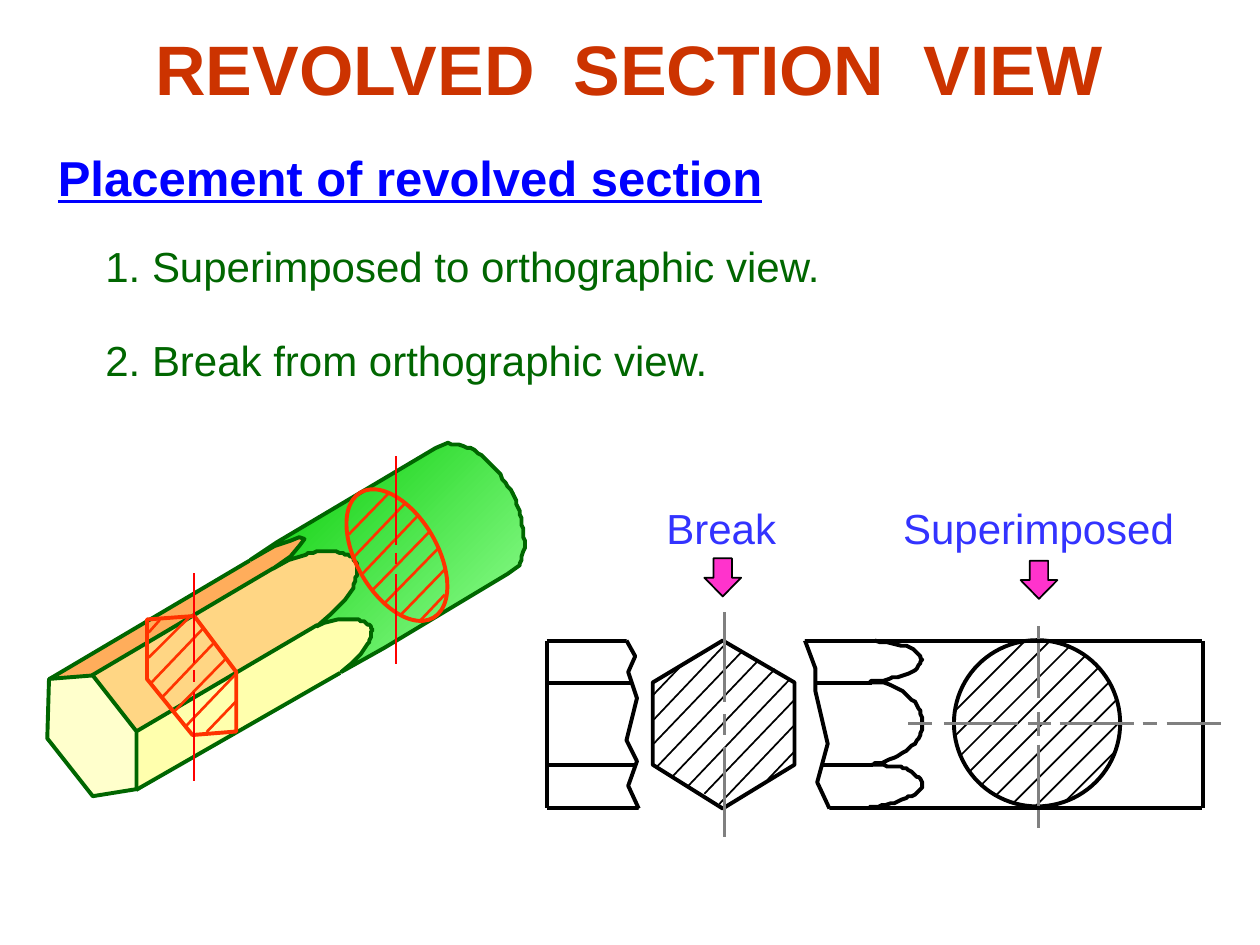
"""Build a slide on where revolved sections are placed, with a pictorial and an orthographic view."""
from math import sqrt

from lxml.etree import SubElement
from pptx import Presentation
from pptx.dml.color import RGBColor
from pptx.enum.shapes import MSO_CONNECTOR, MSO_SHAPE
from pptx.enum.text import MSO_ANCHOR, MSO_AUTO_SIZE, PP_ALIGN
from pptx.oxml.ns import qn
from pptx.util import Pt

color = RGBColor.from_string

deck = Presentation()
deck.slide_width, deck.slide_height = Pt(720), Pt(540)
page = deck.slides.add_slide(deck.slide_layouts[1])


def draw_lines(line_color, width, segments):
    """Draw straight lines given as (x1, y1, x2, y2)."""
    for segment in segments:
        line = page.shapes.add_connector(MSO_CONNECTOR.STRAIGHT, *map(Pt, segment))
        line.line.color.rgb = color(line_color)
        line.line.width = Pt(width)
        SubElement(line._element.spPr, qn("a:effectLst"))


def draw_outline(pieces, fill=None, line=None, closed=True, opacity=100):
    """Draw an outline from corner points and from lists of points joined by a smooth curve."""
    points = []
    for piece in pieces:
        if isinstance(piece, tuple):
            points.append(piece)
            continue
        knots = [piece[0], *piece, piece[-1]]
        for a, b, c, d in zip(knots, knots[1:], knots[2:], knots[3:]):
            for t in (0, 0.2, 0.4, 0.6, 0.8):
                points.append(tuple(
                    q + t / 2 * (r - p + t * (2 * p - 5 * q + 4 * r - s + t * (3 * (q - r) + s - p)))
                    for p, q, r, s in zip(a, b, c, d)))
        points.append(piece[-1])
    builder = page.shapes.build_freeform(*points[0], scale=Pt(1))
    builder.add_line_segments(points[1:], close=closed)
    shape = builder.convert_to_shape()
    shape.shadow.inherit = False
    if fill:
        shape.fill.solid()
        shape.fill.fore_color.rgb = color(fill)
        if opacity < 100:
            tint = shape._element.spPr.find(qn("a:solidFill"))[0]
            SubElement(tint, qn("a:alpha"), val=str(opacity * 1000))
    else:
        shape.fill.background()
    if line:
        shape.line.color.rgb = color(line)
        shape.line.width = Pt(2.25)
    else:
        shape.line.fill.background()
    return shape


title, body = page.placeholders
heading, superimposed, broken = (page.shapes.add_textbox(0, 0, 0, 0) for _ in range(3))
texts = [
    (title, (35.3, 9.4, 648, 58.3), ["REVOLVED  SECTION  VIEW".split()], "CC3300", {"size": Pt(40), "bold": True}),
    (heading, (26, 80.6, 420, 41), [["Placement of revolved section"]], "0000FF",
     {"size": Pt(28), "bold": True, "underline": True}),
    (body, (53, 133.9, 485, 92), [["1. Superimposed to orthographic view."],
                                  ["2. Break from orthographic view."]], "006600", {"size": Pt(24)}),
    (superimposed, (509, 283.7, 170, 36), [["Superimposed"]], "3333FF", {"size": Pt(24)}),
    (broken, (373.7, 283.7, 77, 36), [["Break"]], "3333FF", {"size": Pt(24)}),
]
for box, place, paragraphs, text_color, formats in texts:
    for side, value in zip(("left", "top", "width", "height"), place):
        setattr(box, side, Pt(value))
    frame = box.text_frame
    frame.word_wrap = True
    frame.auto_size = MSO_AUTO_SIZE.NONE
    frame.vertical_anchor = MSO_ANCHOR.MIDDLE if box is title else MSO_ANCHOR.TOP
    for number, words in enumerate(paragraphs):
        para = frame.add_paragraph() if number else frame.paragraphs[0]
        para.alignment = PP_ALIGN.CENTER if box is title else PP_ALIGN.LEFT
        para.space_before = Pt(25 * number)
        if box is body:
            properties = para._p.get_or_add_pPr()
            properties.set("marL", "0")
            properties.set("indent", "0")
            SubElement(properties, qn("a:buNone"))
        for position, word in enumerate(words):
            for content in (" ", word) if position else (word,):
                span = para.add_run()
                span.text = content
                span.font.name = "Arial"
                span.font.color.rgb = color(text_color)
                for name, value in formats.items():
                    setattr(span.font, name, value)
                if content == " ":
                    span._r.get_or_add_rPr().set("spc", "1110")

center_x, center_y, radius = 592.6, 413.3, 47.5
circle = page.shapes.add_shape(MSO_SHAPE.OVAL, Pt(center_x - radius), Pt(center_y - radius),
                               Pt(2 * radius), Pt(2 * radius))
circle.shadow.inherit = False
circle.fill.solid()
circle.fill.fore_color.rgb = color("FFFFFF")
circle.line.color.rgb = color("000000")
circle.line.width = Pt(2.25)
circle_hatch = []
for step in range(9):
    shift = (14.35 * step - 54) / 2
    reach = sqrt(radius ** 2 / 2 - shift ** 2)
    x, y = center_x + shift, center_y + shift
    circle_hatch.append((x - reach, y + reach, x + reach, y - reach))
draw_lines("000000", 1, circle_hatch)
draw_lines("808080", 1.5, [(593.5, top, 593.5, bottom)
                           for top, bottom in ((357.8, 398.9), (406.8, 420.5), (425.5, 473))])

draw_lines("000000", 2.25, [(312.5, y, right, y) for y, right in
                            ((366.5, 687), (390.2, 498.2), (437, 499), (461.5, 687))])
draw_lines("000000", 2.25, [(x, 366.5, x, 461.5) for x in (312.5, 687.6)])
draw_outline([
    [(500.4, 366.5), (517.7, 369.4), (524.9, 373.7), (526.3, 378), (521.3, 383.8), (507.6, 388.1), (496.8, 389.5)],
    [(496.8, 389.5), (507.6, 391), (517.7, 396.7), (524.9, 404.6), (527, 413.3), (524.9, 421.9),
     (517.7, 429.1), (506.2, 434.9), (497.5, 437)],
    [(497.5, 437), (509.8, 437.8), (517.7, 439.2), (524.2, 443.5), (527, 448.6), (522.7, 453.6),
     (513.4, 457.9), (501.8, 460.8), (496.8, 461.5)],
], line="000000", closed=False)
draw_lines("808080", 1.5, [(left, 413.3, right, 413.3) for left, right in (
    (519.1, 532.8), (539.3, 581.8), (587.5, 600.5), (605.5, 648), (653, 661), (666.7, 697.7))])

facets = {
    "FF9933": [(52.6, 385.9), (171.4, 316.1), (174.2, 307.4), (167, 306), (148.3, 316.8), (28.8, 387.4)],
    "FFCC66": [(78.5, 417.6), (199.4, 346.3), (204.5, 328.3), (204.5, 317.5), (191.5, 313.9),
               (173.5, 315.4), (159.8, 321.8), (52.6, 385.9)],
    "FFFF99": [(78.5, 451.4), (207.4, 376.6), (213.8, 359.3), (207.4, 352.8), (187.9, 353.5), (77.8, 418.3)],
}
for facet_color, corners in facets.items():
    draw_outline(corners, fill=facet_color, opacity=80)
draw_outline([(27.4, 421.9), (53.3, 455), (78.5, 451.4), (78.5, 417.6), (52.6, 385.9), (28.1, 388.1)],
             fill="FFFFCC", line="006600")
draw_lines("006600", 2.25, [(77.8, 451.4, 194.4, 384.5), (78.5, 417.6, 181.4, 357.1),
                            (52.6, 385.9, 156.2, 324.7), (28.1, 388.1, 142.6, 320.4)])
cylinder = draw_outline([
    (195.1, 383.8), (220.3, 370.1), (290.2, 328.3),
    [(296.6, 323.3), (299.5, 313.2), (298.8, 302.4), (296.6, 291.6), (293, 282.2), (285.8, 271.4),
     (276.5, 261.4), (267.1, 255.6), (256.3, 253.4)],
    (249.1, 256.3), (158.4, 310.3), (142.6, 319.7), (157, 312.5), (165.6, 308.9), (171.4, 307.4),
    (173.5, 308.2), (171.4, 311.8), (165.6, 317.5), (156.2, 324.7), (164.9, 320.4),
    [(175, 316.8), (185.8, 314.6), (195.8, 316.1), (201.6, 319), (203.8, 323.3), (203.8, 329), (201.6, 336.2)],
    (196.6, 343.4), (189.4, 350.6), (180.7, 357.8), (185, 355.7),
    [(193, 354.2), (201.6, 354.2), (207.4, 355), (211.7, 357.8), (212.4, 361.4), (210.2, 367.9)],
    (205.9, 374.4), (200.9, 378.7),
], line="006600")
cylinder.fill.gradient()
cylinder.fill.gradient_angle = 315
for stop, stop_color in zip(cylinder.fill.gradient_stops, ("00CC00", "99FF99")):
    stop.color.rgb = color(stop_color)

left_break = [(357.8, 366.5), (362.9, 375.1), (358.6, 383.8), (363.6, 398.9), (357.8, 422.6),
              (364.3, 434.9), (359.3, 448.6), (365, 462.2)]
right_break = [(460.1, 365.8), (465.8, 381.6), (465.8, 394.6), (473, 424.8), (466.6, 447.1), (474.5, 462.2)]
draw_outline([(365.8, 340.6), *left_break, (365.8, 491.8), (471.6, 491.8), *right_break[::-1], (455, 341.3)],
             fill="FFFFFF")
for edge in (left_break, right_break):
    draw_outline(edge, line="000000", closed=False)
draw_outline([(413.3, 365.8), (373, 389.5), (373, 437), (413.3, 461.5), (454.3, 437), (454.3, 389.5)],
             fill="FFFFFF", line="000000")
draw_lines("000000", 1, [
    (438.5, 445.7, 454.3, 429.1), (411.1, 459.4, 453.6, 414.7), (402.5, 453.6, 453.6, 400.3),
    (393.1, 449.3, 451.4, 388.1), (384.5, 443.5, 442.8, 382.3), (375.1, 438.5, 433.4, 377.3),
    (373.7, 424.8, 424.1, 372.2), (373.7, 411.1, 414.7, 367.9), (373, 397.4, 388.8, 380.9)])
draw_lines("808080", 1.5, [(414, top, 414, bottom)
                           for top, bottom in ((349.9, 401), (408.2, 419.8), (427, 478.1))])

ellipse = page.shapes.add_shape(MSO_SHAPE.OVAL, Pt(203.8), Pt(275.8), Pt(46.1), Pt(82.8))
ellipse.rotation = 329.8
ellipse.shadow.inherit = False
ellipse.fill.background()
ellipse.line.color.rgb = color("FF3300")
ellipse.line.width = Pt(2.25)
draw_outline([(84.2, 354.2), (84.2, 388.1), (110.2, 419.8), (135.4, 417.6), (135.4, 383.8), (110.9, 352.1)],
             line="FF3300")
draw_lines("FF3300", 1.5, [
    (199.4, 305.3, 222.5, 281.5), (202.3, 318.2, 231.1, 288), (207.4, 327.6, 238.3, 295.2),
    (213.1, 337, 245.5, 303.8), (220.3, 344.2, 250.6, 313.2), (229, 351.4, 254.2, 325.4),
    (239.8, 355, 254.2, 339.8),
    (85, 361.4, 91.4, 354.2), (85, 375.8, 108, 352.8), (86.4, 390.2, 115.9, 359.3),
    (92.9, 398.2, 122.4, 367.2), (99.4, 406.8, 128.9, 376.6), (105.8, 415.4, 135.4, 384.5),
    (118.1, 418.3, 135.4, 400.3)])
for axis_x, axis_top in ((226.1, 260.6), (110.9, 327.6)):
    draw_lines("FF0000", 1, [(axis_x, axis_top + start, axis_x, axis_top + end)
                             for start, end in ((0, 51.1), (55.2, 61.9), (67.7, 118.8))])

for left, top in ((402.5, 319), (583.2, 320.4)):
    arrow = page.shapes.add_shape(MSO_SHAPE.DOWN_ARROW, Pt(left), Pt(top), Pt(21), Pt(21.8))
    arrow.adjustments[0], arrow.adjustments[1] = 0.5, 0.51
    arrow.shadow.inherit = False
    arrow.fill.solid()
    arrow.fill.fore_color.rgb = color("FF33CC")
    arrow.line.color.rgb = color("000000")
    arrow.line.width = Pt(1)

deck.save("out.pptx")
